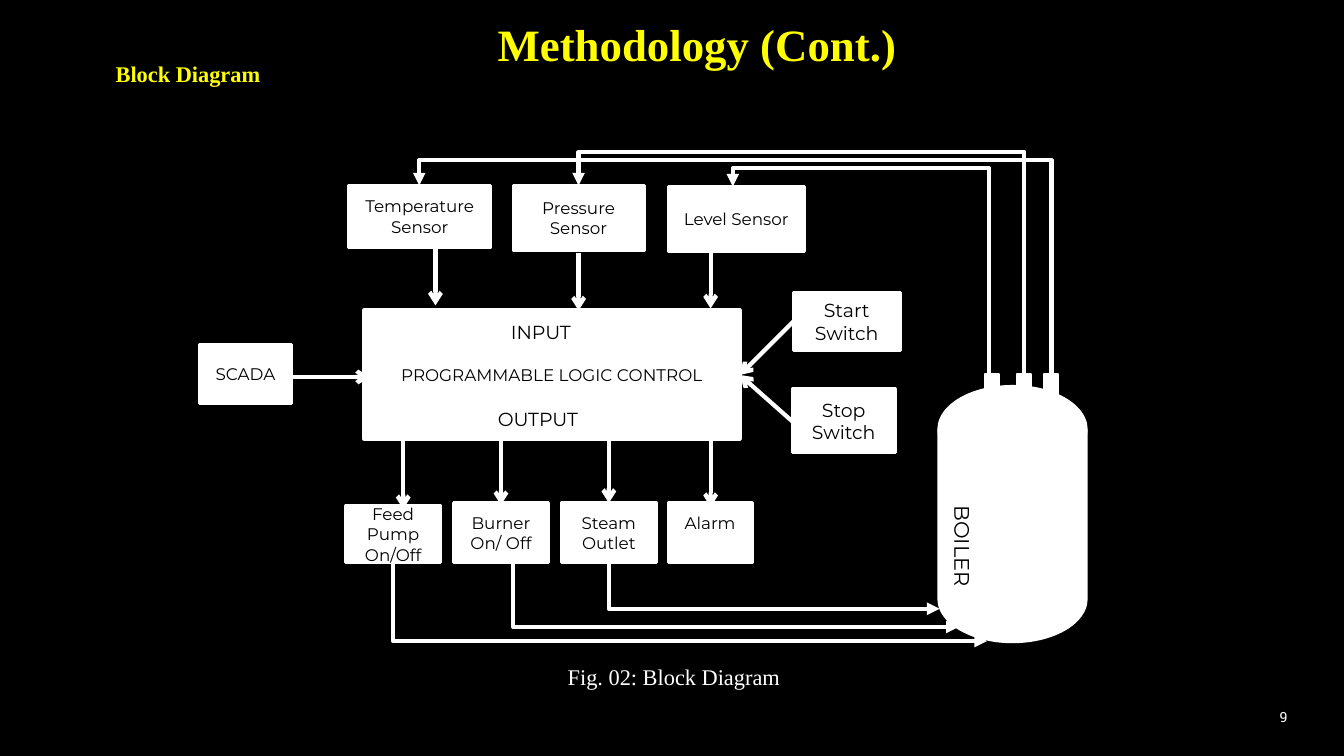
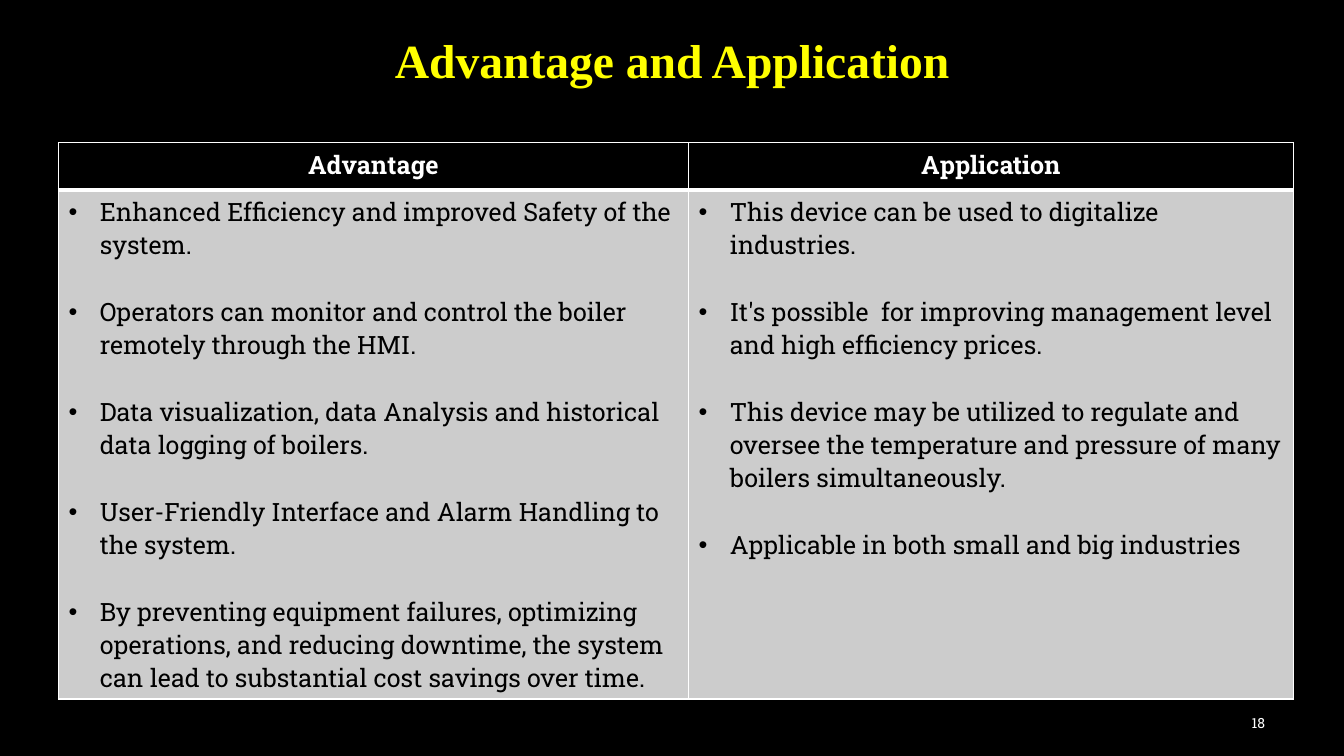
from dataclasses import dataclass

from lxml import etree
from pptx import Presentation
from pptx.dml.color import RGBColor
from pptx.enum.shapes import MSO_CONNECTOR, MSO_SHAPE
from pptx.enum.text import MSO_ANCHOR, MSO_AUTO_SIZE, PP_ALIGN
from pptx.oxml.ns import qn
from pptx.util import Inches, Pt

LEFT, CENTER, RIGHT = PP_ALIGN.LEFT, PP_ALIGN.CENTER, PP_ALIGN.RIGHT
TOP, MIDDLE = MSO_ANCHOR.TOP, MSO_ANCHOR.MIDDLE
NO_AUTOFIT = MSO_AUTO_SIZE.NONE
STRAIGHT, ELBOW = MSO_CONNECTOR.STRAIGHT, MSO_CONNECTOR.ELBOW
PROCESS = MSO_SHAPE.FLOWCHART_PROCESS
RECTANGLE = MSO_SHAPE.RECTANGLE
DRUM = MSO_SHAPE.FLOWCHART_MAGNETIC_DISK
TITLE_ONLY = 5
GRID_ROWS = 75
GRID_COLUMNS = 133.33


@dataclass(frozen=True)
class Theme:
    black: str = "000000"
    white: str = "FFFFFF"
    yellow: str = "FFFF00"
    gray: str = "CCCCCC"
    heading_font: str = "Times New Roman"
    diagram_font: str = "Montserrat"
    table_font: str = "Roboto Slab"
    title_size: float = 34
    long_title_size: float = 32
    caption_size: float = 16
    table_size: float = 18
    boiler_size: float = 15
    large_label: float = 13.5
    label: float = 12
    number_size: float = 10
    table_gap: float = 23.8
    thin: float = 1
    pipe: float = 1.5
    outline: float = 2.25
    heavy: float = 3


THEME = Theme()


def color(value):
    return RGBColor.from_string(value)


def add_bullet(para, indent):
    properties = para._p.get_or_add_pPr()
    properties.set("marL", str(indent))
    properties.set("indent", str(-indent))
    bullet_font = etree.SubElement(properties, qn("a:buFont"))
    bullet_font.set("typeface", "Arial")
    etree.SubElement(properties, qn("a:buChar")).set("char", "•")


def write_text(frame, text, *, font=THEME.diagram_font, size=THEME.label,
               ink=THEME.black, bold=False, align=CENTER, spacing=None,
               gap=0, bullet_indent=None):
    frame.word_wrap = True
    for index, line in enumerate(text.split("\n")):
        para = frame.add_paragraph() if index else frame.paragraphs[0]
        para.alignment = align
        if spacing:
            para.line_spacing = spacing
        if gap and index:
            para.space_before = Pt(gap)
        if bullet_indent:
            add_bullet(para, bullet_indent)
        span = para.add_run()
        span.text = line
        span.font.name = font
        span.font.size = Pt(size)
        span.font.bold = bold
        span.font.color.rgb = color(ink)


class SlideBuilder:
    def __init__(self, theme):
        self.theme = theme
        self.deck = Presentation()
        self.deck.slide_width = Inches(13.33)
        self.deck.slide_height = Inches(7.5)
        fill = self.deck.slide_master.background.fill
        fill.solid()
        fill.fore_color.rgb = color(theme.black)
        self.slide = None

    def x(self, columns):
        return round(self.deck.slide_width * columns / GRID_COLUMNS)

    def y(self, rows):
        return round(self.deck.slide_height * rows / GRID_ROWS)

    def area(self, place):
        left, top, width, height = place
        return self.x(left), self.y(top), self.x(width), self.y(height)

    def page(self, title, place, size, number, number_place):
        layout = self.deck.slide_layouts[TITLE_ONLY]
        self.slide = self.deck.slides.add_slide(layout)
        box = self.slide.shapes.title
        box.left, box.top, box.width, box.height = self.area(place)
        frame = box.text_frame
        frame.auto_size = NO_AUTOFIT
        frame.vertical_anchor = MIDDLE
        write_text(frame, title, font=self.theme.heading_font, size=size,
                   ink=self.theme.yellow, bold=True, spacing=0.9)
        self.label(number, number_place, font=self.theme.table_font,
                   size=self.theme.number_size, ink=self.theme.white, align=RIGHT)

    def label(self, text, place, anchor=MIDDLE, rotation=0, **text_format):
        box = self.slide.shapes.add_textbox(*self.area(place))
        box.rotation = rotation
        box.text_frame.vertical_anchor = anchor
        write_text(box.text_frame, text, **text_format)

    def box(self, place, text="", kind=PROCESS, weight=THEME.outline,
            lift=0, **text_format):
        shape = self.slide.shapes.add_shape(kind, *self.area(place))
        shape.shadow.inherit = False
        shape.fill.solid()
        shape.fill.fore_color.rgb = color(self.theme.white)
        shape.line.color.rgb = color(self.theme.white)
        shape.line.width = Pt(weight)
        if text:
            frame = shape.text_frame
            frame.vertical_anchor = MIDDLE
            frame.margin_bottom += self.y(lift)
            write_text(frame, text, **text_format)

    def connector(self, kind, start, end, head):
        line = self.slide.shapes.add_connector(
            kind, self.x(start[0]), self.y(start[1]), self.x(end[0]), self.y(end[1]))
        line.line.color.rgb = color(self.theme.white)
        line.line.width = Pt(self.theme.heavy)
        outline = line.line._get_or_add_ln()
        etree.SubElement(outline, qn("a:tailEnd")).set("type", head)
        etree.SubElement(line._element.spPr, qn("a:effectLst"))
        return line

    def arrow(self, start, end):
        self.connector(STRAIGHT, start, end, "arrow")

    def bent_arrow(self, start, end, lane=None):
        middle_x = (start[0] + end[0]) / 2
        middle_y = (start[1] + end[1]) / 2
        turned = [(middle_x - (y - middle_y), middle_y + (x - middle_x))
                  for x, y in (start, end)]
        line = self.connector(ELBOW, *turned, "triangle")
        properties = line._element.spPr
        properties.find(qn("a:xfrm")).set("rot", str(270 * 60000))
        geometry = properties.find(qn("a:prstGeom"))
        if lane is None:
            geometry.set("prst", "bentConnector2")
            return
        share = (start[1] - lane) / (start[1] - end[1])
        guides = geometry.find(qn("a:avLst"))
        if guides is None:
            guides = etree.SubElement(geometry, qn("a:avLst"))
        guide = etree.SubElement(guides, qn("a:gd"))
        guide.set("name", "adj1")
        guide.set("fmla", f"val {round(share * 100000)}")

    def borders(self, cell, top, bottom):
        properties = cell._tc.get_or_add_tcPr()
        weights = {"lnL": self.theme.thin, "lnR": self.theme.thin,
                   "lnT": top, "lnB": bottom}
        for index, (side, weight) in enumerate(weights.items()):
            line = etree.Element(qn(f"a:{side}"))
            line.set("w", str(Pt(weight)))
            fill = etree.SubElement(line, qn("a:solidFill"))
            etree.SubElement(fill, qn("a:srgbClr")).set("val", self.theme.white)
            properties.insert(index, line)

    def table(self, corner, columns, widths, heights):
        theme = self.theme
        place = (*corner, sum(widths), sum(heights))
        table = self.slide.shapes.add_table(2, len(columns), *self.area(place)).table
        table.horz_banding = False
        for row, height in zip(table.rows, heights):
            row.height = self.y(height)
        header = dict(ink=theme.white, bold=True)
        body = dict(align=LEFT, gap=theme.table_gap, bullet_indent=self.x(3.1))
        for index, (heading, items) in enumerate(columns.items()):
            table.columns[index].width = self.x(widths[index])
            rows = (
                (heading, theme.black, theme.thin, theme.heavy, header),
                ("\n".join(items), theme.gray, theme.heavy, theme.thin, body),
            )
            for row, (text, shade, top, bottom, text_format) in enumerate(rows):
                cell = table.cell(row, index)
                cell.fill.solid()
                cell.fill.fore_color.rgb = color(shade)
                self.borders(cell, top, bottom)
                write_text(cell.text_frame, text, font=theme.table_font,
                           size=theme.table_size, **text_format)


def build_block_diagram(builder):
    theme = builder.theme
    builder.page("Methodology (Cont.)", (43.2, 1.5, 51.9, 6.4),
                 theme.long_title_size, "9", (122.5, 69.1, 6.2, 4))
    builder.label("Block Diagram", (4.9, 4.3, 27.5, 6.3), font=theme.heading_font,
                  size=theme.caption_size, ink=theme.yellow, bold=True, spacing=0.9)
    builder.label("Fig. 02: Block Diagram", (47.4, 65.1, 38.9, 4),
                  font=theme.heading_font, size=theme.caption_size, ink=theme.white)

    builder.box((36.1, 30.8, 37.3, 12.7), "PROGRAMMABLE LOGIC CONTROL",
                weight=theme.heavy)
    for text, place in (("INPUT", (49.7, 31.3, 8.7, 3.3)),
                        ("OUTPUT", (48.4, 39.9, 11.7, 3.3))):
        builder.label(text, place, anchor=TOP, align=LEFT, size=theme.large_label)

    for text, place in (
        ("Temperature\nSensor", (34.6, 18.4, 14.1, 6.1)),
        ("Pressure Sensor", (50.9, 18.4, 13, 6.4)),
        ("Level Sensor", (66.3, 18.5, 13.5, 6.4)),
        ("SCADA", (19.8, 34.2, 9.1, 5.8)),
        ("Feed Pump On/Off", (34.3, 50.2, 9.4, 5.6)),
        ("Burner\nOn/ Off", (45, 49.9, 9.4, 5.9)),
        ("Steam Outlet", (55.7, 49.9, 9.4, 5.9)),
    ):
        builder.box(place, text)
    builder.box((66.3, 49.9, 8.3, 5.9), "Alarm", lift=2)
    for text, place in (("Start\nSwitch", (78.7, 29, 10.6, 5.8)),
                        ("Stop\nSwitch", (78.6, 38.6, 10.2, 6.3))):
        builder.box(place, text, size=theme.large_label)

    builder.box((93.2, 38.4, 14.5, 25.2), kind=DRUM, weight=theme.heavy)
    for left in (97.7, 100.9, 103.6):
        builder.box((left, 37.1, 1.4, 18.3), kind=RECTANGLE, weight=theme.pipe)
    builder.label("BOILER", (89.8, 53.1, 11.4, 3.5), anchor=TOP, rotation=90,
                  align=LEFT, size=theme.boiler_size)

    for column, start, end in (
        (43.2, 23.5, 30.3), (57.4, 25.1, 30.8), (70.5, 25, 30.6),
        (40, 43.2, 50.5), (49.7, 43.8, 50.1), (60.4, 43.5, 49.9), (70.5, 43.4, 50.3),
    ):
        builder.arrow((column, start), (column, end))
    for start, end in (
        ((28.6, 37.4), (36.7, 37.4)),
        ((78.7, 31.9), (73.4, 37.2)),
        ((78.6, 41.8), (73.4, 37.2)),
    ):
        builder.arrow(start, end)

    for start, end, lane in (
        ((50.9, 55.8), (95.1, 62.2), None),
        ((60.4, 55.8), (93.2, 60.4), None),
        ((39, 55.8), (97.9, 63.6), None),
        ((98.1, 37.1), (72.7, 18.5), 16.7),
        ((101.6, 37.2), (57.4, 18.4), 15.1),
        ((104.3, 37.1), (41.6, 18.4), 15.9),
    ):
        builder.bent_arrow(start, end, lane)


def build_advantages(builder):
    builder.page("Advantage and Application", (21.7, 3, 90, 6.6),
                 builder.theme.title_size, "18", (118.3, 69.7, 8.2, 4))
    columns = {
        "Advantage": (
            "Enhanced Efficiency and improved Safety of the system.",
            "Operators can monitor and control the boiler remotely through the HMI.",
            "Data visualization, data Analysis and historical data logging of boilers.",
            "User-Friendly Interface and Alarm Handling to the system.",
            "By preventing equipment failures, optimizing operations, and reducing "
            "downtime, the system can lead to substantial cost savings over time.",
        ),
        "Application": (
            "This device can be used to digitalize industries.",
            "It's possible  for improving management level and high efficiency prices.",
            "This device may be utilized to regulate and oversee the temperature and "
            "pressure of many boilers simultaneously.",
            "Applicable in both small and big industries",
        ),
    }
    builder.table((5.8, 14.15), columns, (62.5, 60), (4.7, 50.5))


def main():
    builder = SlideBuilder(THEME)
    build_block_diagram(builder)
    build_advantages(builder)
    builder.deck.save("out.pptx")


if __name__ == "__main__":
    main()
